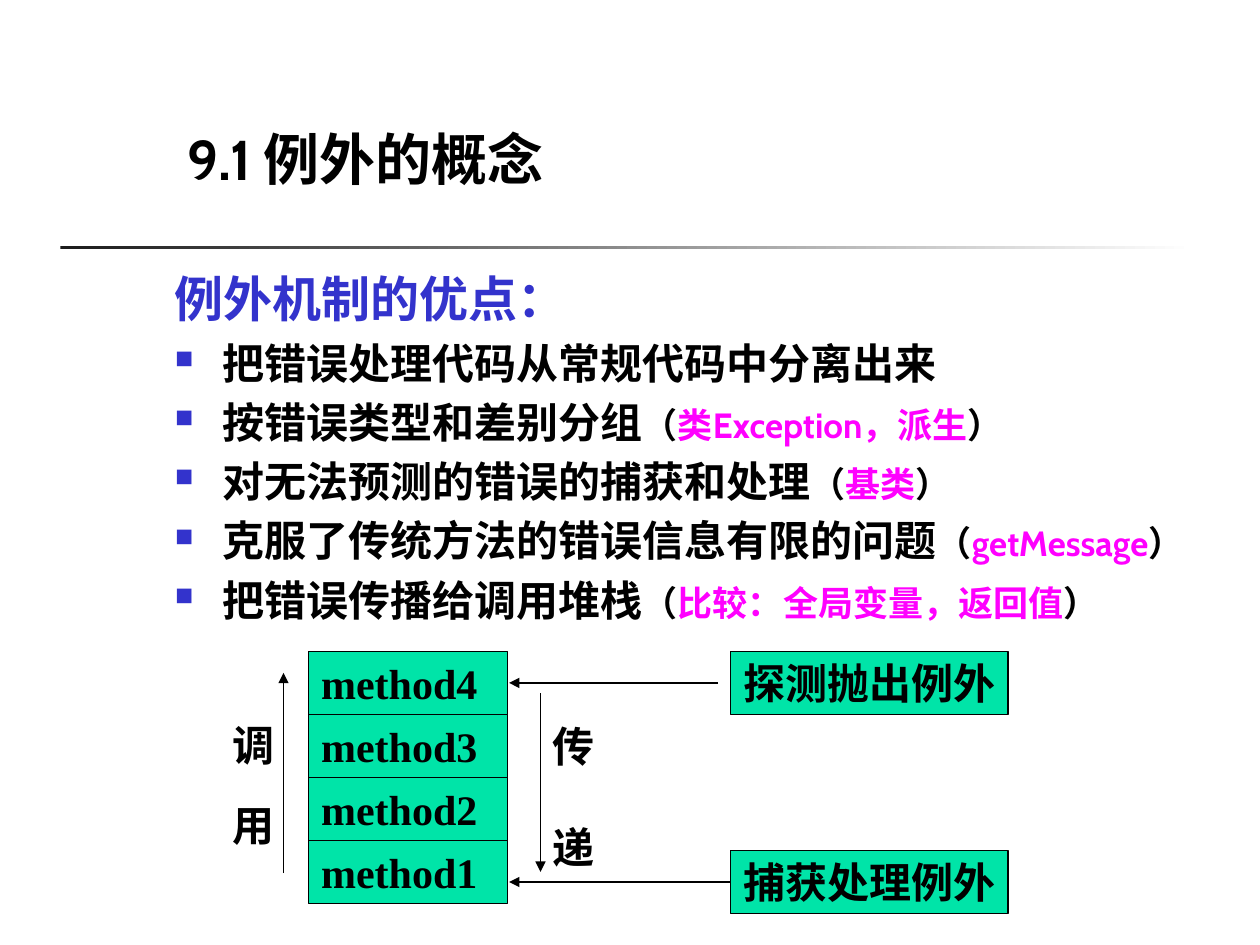
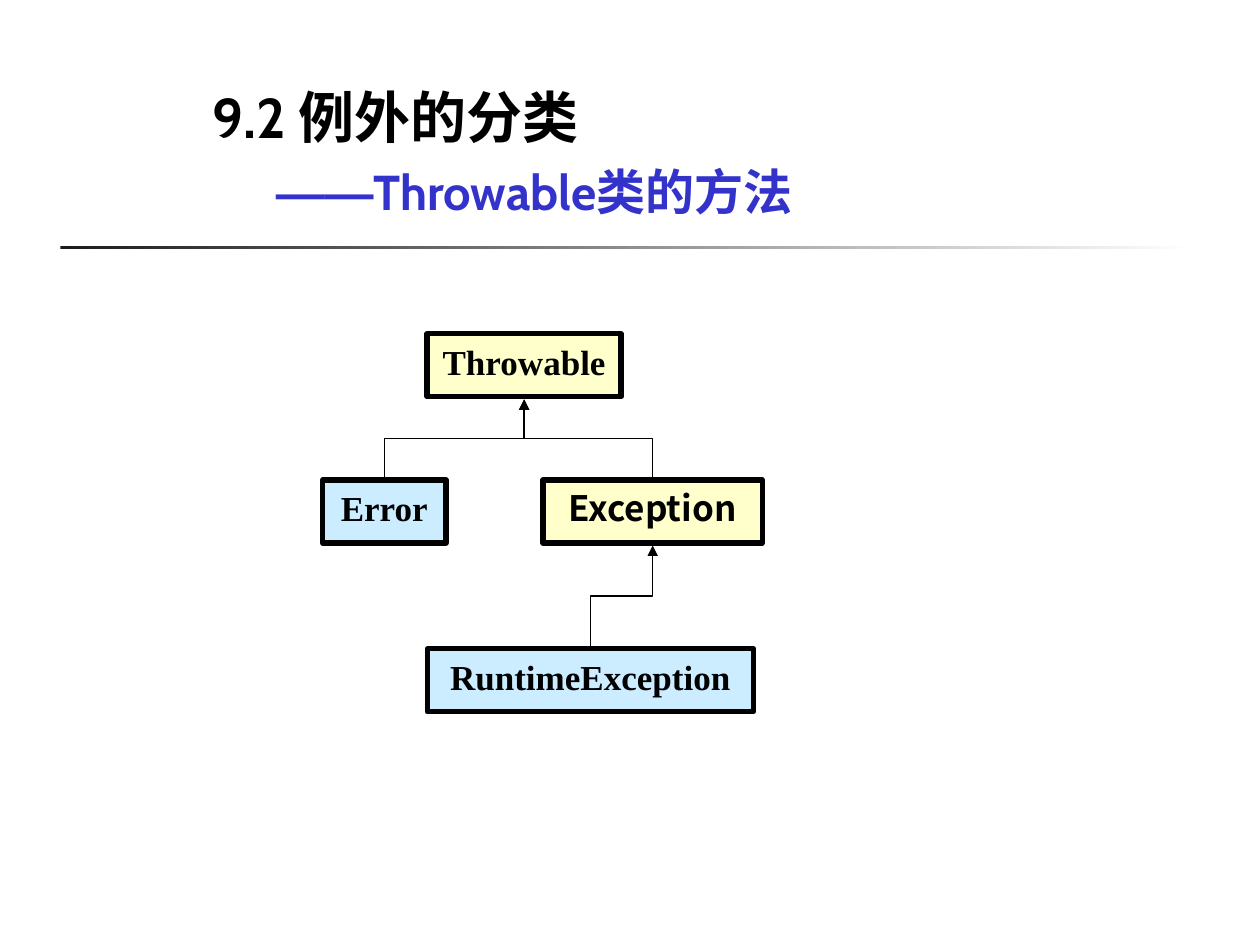
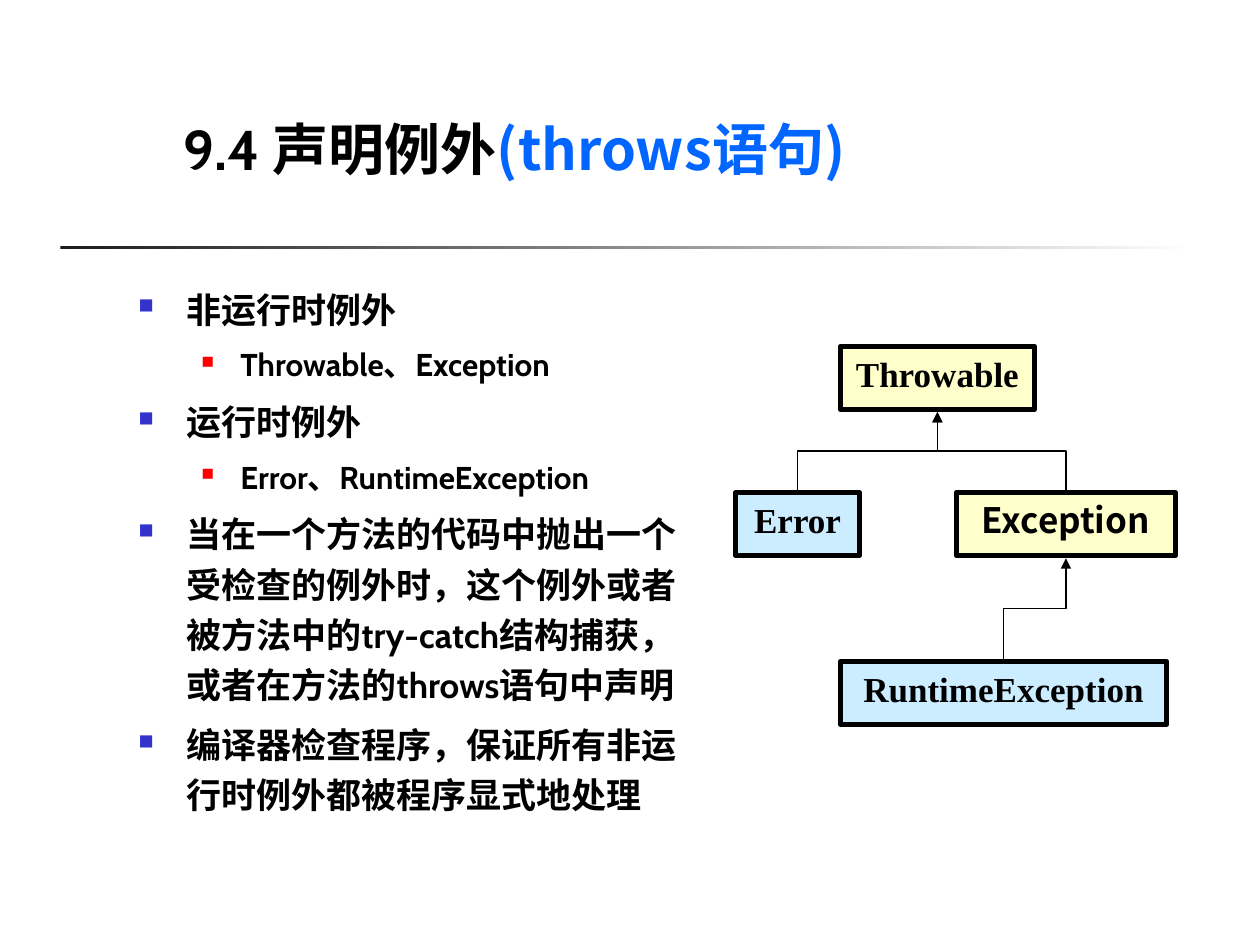
import pptx
import pptx.dml.color
import pptx.enum.dml
import pptx.enum.shapes
import pptx.enum.text
import pptx.oxml
import pptx.oxml.ns
import pptx.util
from pptx.util import Inches, Pt

COLORS = {
    "text": "000000", "heading": "3333CC", "remark": "FF00FF", "keyword": "0066FF",
    "sub_bullet": "FF0000", "stack": "00E4A8", "checked": "FFFFCC", "unchecked": "CCECFF",
    "rule_start": "1C1C1C", "rule_end": "FFFFFF",
}
BODY, SERIF, CJK = "Cabin", "Times New Roman", "Noto Sans CJK SC"

# Content: a paragraph is a list of (text, overrides) runs
TITLES = [
    ((1.39, 0.83, 3.28, 0.74), [[("9.1 ", {}), ("例外的概念", {"name": CJK})]]),
    ((1.59, 0.5, 5.69, 1.3), [
        [("9.2 ", {}), ("例外的分类", {"name": CJK})],
        [("\t", {"size": 28}),
         ("——", {"size": 28, "name": "Arial", "color": "heading"}),
         ("Throwable类的方法", {"size": 28, "color": "heading"})],
    ]),
    ((1.36, 0.75, 5.93, 0.74), [[
        ("9.4 ", {}), ("声明例外", {"name": CJK}),
        ("(throws语句)", {"name": CJK, "color": "keyword"})]]),
]
ADVANTAGES_HEADING = "例外机制的优点："
ADVANTAGES = [  # advantage, remark in brackets
    ("把错误处理代码从常规代码中分离出来", None),
    ("按错误类型和差别分组", "类Exception，派生"),
    ("对无法预测的错误的捕获和处理", "基类"),
    ("克服了传统方法的错误信息有限的问题", "getMessage"),
    ("把错误传播给调用堆栈", "比较：全局变量，返回值"),
]
CALL_STACK = ["method4", "method3", "method2", "method1"]
STACK_EVENTS = [("探测抛出例外", 5.17), ("捕获处理例外", 6.75)]
STACK_ARROWS = [  # start, end
    ((5.7, 5.42), (4.04, 5.42)),
    ((4.29, 5.5), (4.29, 6.92)),
    ((5.79, 7), (4.04, 7)),
    ((2.25, 6.93), (2.25, 5.34)),
]
CLASSES = {  # offset from the root class, width, fill, font
    "Throwable": (0, 0, 1.54, "checked", SERIF),
    "Error": (-0.83, 1.16, 0.98, "unchecked", SERIF),
    "Exception": (0.92, 1.16, 1.74, "checked", CJK),
    "RuntimeException": (0, 2.5, 2.59, "unchecked", SERIF),
}
INHERITANCE = [("Exception", "Throwable"), ("Error", "Throwable"),
               ("RuntimeException", "Exception")]
DECLARATION = [  # level, text
    (0, "非运行时例外"),
    (1, "Throwable、Exception"),
    (0, "运行时例外"),
    (1, "Error、RuntimeException"),
    (0, "当在一个方法的代码中抛出一个受检查的例外时，这个例外或者被方法中的try-catch结构捕获，"
        "或者在方法的throws语句中声明"),
    (0, "编译器检查程序，保证所有非运行时例外都被程序显式地处理"),
]
BOX_HEIGHT = 0.5


def rgb(name):
    return pptx.dml.color.RGBColor.from_string(COLORS[name])


def add_xml(parent, tag, **attributes):
    child = pptx.oxml.parse_xml(f"<a:{tag} {pptx.oxml.ns.nsdecls('a')}/>")
    for key, value in attributes.items():
        child.set(key, str(value))
    parent.append(child)
    return child


# Text
def style(font, size=None, name=None, color=None, bold=None):
    if size:
        font.size = Pt(size)
    if name:
        font.name = name
    if color:
        font.color.rgb = rgb(color)
    if bold:
        font.bold = True


def write(frame, paragraphs, size, name=BODY, spacing=None, align=None):
    """Fill a frame with paragraphs, each a list of runs sharing one base style."""
    for index, runs in enumerate(paragraphs):
        paragraph = frame.paragraphs[0] if index == 0 else frame.add_paragraph()
        add_runs(paragraph, runs, size, name, spacing=spacing, align=align)


def add_runs(paragraph, runs, size, name=BODY, color="text", spacing=None, align=None,
             before=None, level=0, margin=None, hanging=0, bullet=None, bullet_size=60):
    paragraph.level = level
    if spacing:
        paragraph.line_spacing = spacing
    if align:
        paragraph.alignment = align
    if before:
        paragraph.space_before = Pt(before)
    properties = paragraph._p.get_or_add_pPr()
    if margin:
        properties.set("marL", str(Inches(margin)))
        properties.set("indent", str(-Inches(hanging)))
    if bullet:
        add_xml(add_xml(properties, "buClr"), "srgbClr", val=COLORS[bullet])
        add_xml(properties, "buSzPct", val=bullet_size * 1000)
        add_xml(properties, "buChar", char="■")
    style(paragraph.font, size, name, color, True)
    for text, overrides in runs:
        run = paragraph.add_run()
        run.text = text
        style(run.font, **overrides)


def add_text(slide, place, wrap=True):
    frame = slide.shapes.add_textbox(*map(Inches, place)).text_frame
    frame.word_wrap = wrap
    return frame


# Shapes
def add_box(slide, place, fill, line_width, text, size, name, align, wrap=True):
    box = slide.shapes.add_shape(pptx.enum.shapes.MSO_SHAPE.RECTANGLE, *map(Inches, place))
    box.shadow.inherit = False
    box.fill.solid()
    box.fill.fore_color.rgb = rgb(fill)
    box.line.color.rgb = rgb("text")
    box.line.width = Pt(line_width)
    box.text_frame.word_wrap = wrap
    box.text_frame.vertical_anchor = pptx.enum.text.MSO_ANCHOR.TOP
    write(box.text_frame, [[(text, {})]], size, name, align=align)


def add_arrow(slide, start, end, kind=pptx.enum.shapes.MSO_CONNECTOR.STRAIGHT):
    arrow = slide.shapes.add_connector(kind, *map(Inches, start + end))
    arrow.line.color.rgb = rgb("text")
    arrow.line.width = Pt(0.75)
    add_xml(arrow.line._get_or_add_ln(), "tailEnd", type="triangle")
    add_xml(arrow._element.spPr, "effectLst")
    return arrow


def add_rising_elbow(slide, start, end):
    """Elbow that leaves upwards: laid out sideways, then turned by 270 degrees."""
    (x1, y1), (x2, y2) = start, end
    middle_x, middle_y, half_rise = (x1 + x2) / 2, (y1 + y2) / 2, (y1 - y2) / 2
    elbow = add_arrow(slide,
                      (middle_x - half_rise, middle_y + x1 - middle_x),
                      (middle_x + half_rise, middle_y + x2 - middle_x),
                      pptx.enum.shapes.MSO_CONNECTOR.ELBOW)
    elbow._element.spPr.xfrm.set("rot", str(270 * 60000))


def add_class_tree(slide, left, top):
    gap = 0.02
    for name, (dx, dy, width, fill, font) in CLASSES.items():
        add_box(slide, (left + dx, top + dy, width, BOX_HEIGHT), fill, 3, name, 20, font,
                pptx.enum.text.PP_ALIGN.CENTER)
    for child, parent in INHERITANCE:
        child_x, child_y, child_width = CLASSES[child][:3]
        parent_x, parent_y, parent_width = CLASSES[parent][:3]
        add_rising_elbow(
            slide,
            (left + child_x + child_width / 2, top + child_y - gap),
            (left + parent_x + parent_width / 2, top + parent_y + BOX_HEIGHT + gap))


# Slides
def add_slide(deck, title):
    slide = deck.slides.add_slide(deck.slide_layouts[6])
    rule = slide.shapes.add_shape(pptx.enum.shapes.MSO_SHAPE.RECTANGLE,
                                  *map(Inches, (0.48, 1.95, 9, 0.03)))
    rule.shadow.inherit = False
    rule.line.fill.background()
    rule.fill.gradient()
    rule.fill.gradient_angle = 0
    for stop, color, position in zip(rule.fill.gradient_stops, ("rule_start", "rule_end"), (0, 1)):
        stop.color.rgb = rgb(color)
        stop.position = position
    place, paragraphs = title
    write(add_text(slide, place, wrap=False), paragraphs, 32, spacing=1.2)
    return slide


def fill_concept(slide):
    advantages = add_text(slide, (1.29, 2.08, 8.5, 4.5))
    add_runs(advantages.paragraphs[0], [(ADVANTAGES_HEADING, {})], 28, color="heading",
             before=7, margin=0.38, hanging=0.38)
    for index, (advantage, remark) in enumerate(ADVANTAGES):
        runs = [(advantage, {})]
        if remark:
            runs += [("（", {"size": 20}), (remark, {"size": 20, "color": "remark"}),
                     ("）", {"size": 20})]
        add_runs(advantages.add_paragraph(), runs, 24, before=5 if index else 6,
                 margin=0.38, hanging=0.38, bullet="heading")

    # Call stack with its events
    left_align = pptx.enum.text.PP_ALIGN.LEFT
    for row, method in enumerate(CALL_STACK):
        add_box(slide, (2.45, 5.17 + row * BOX_HEIGHT, 1.58, BOX_HEIGHT), "stack", 0.75,
                method, 24, SERIF, left_align)
    for event, top in STACK_EVENTS:
        add_box(slide, (5.8, top, 2.2, BOX_HEIGHT), "stack", 0.75,
                event, 24, SERIF, left_align, wrap=False)
    for start, end in STACK_ARROWS:
        add_arrow(slide, start, end)
    write(add_text(slide, (4.29, 5.67, 0.52, 1.3)), [[("传 递", {})]], 24, SERIF)

    # Vertical label, its two characters spread by letter spacing
    calling = add_text(slide, (1.65, 5.65, 0.6, 1.07), wrap=False)
    calling._txBody.bodyPr.set("vert", "eaVert")
    calling.margin_left = calling.margin_right = Inches(0.05)
    calling.margin_top = calling.margin_bottom = Inches(0.1)
    write(calling, [[("调", {}), ("用", {})]], 24)
    calling.paragraphs[0].runs[0]._r.get_or_add_rPr().set("spc", "2200")


def fill_declaration(slide):
    rules = add_text(slide, (1, 2.17, 4.71, 4.71))
    levels = [
        dict(size=20, before=5, margin=0.38, hanging=0.38, bullet="heading", bullet_size=60),
        dict(size=18, before=4.5, margin=0.81, hanging=0.31, bullet="sub_bullet", bullet_size=55),
    ]
    for index, (level, text) in enumerate(DECLARATION):
        paragraph = rules.add_paragraph() if index else rules.paragraphs[0]
        add_runs(paragraph, [(text, {})], level=level, spacing=1.2, **levels[level])
    add_class_tree(slide, 6.67, 2.75)


def main():
    deck = pptx.Presentation()
    deck.slide_width, deck.slide_height = Inches(10), Inches(7.5)
    concept, classification, declaration = [add_slide(deck, title) for title in TITLES]
    fill_concept(concept)
    add_class_tree(classification, 3.39, 2.65)
    fill_declaration(declaration)
    deck.save("out.pptx")


if __name__ == "__main__":
    main()
